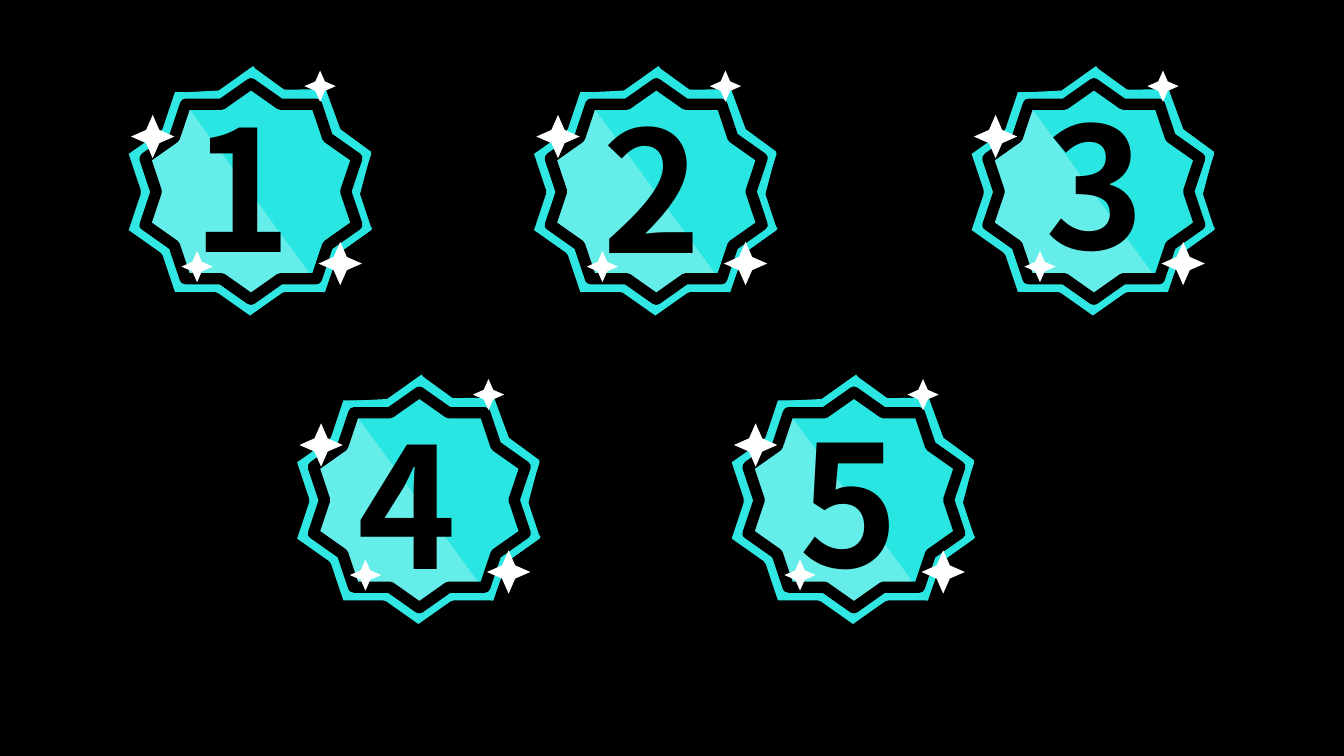
from dataclasses import dataclass
from typing import Optional

from pptx import Presentation
from pptx.dml.color import RGBColor
from pptx.enum.shapes import MSO_SHAPE as Preset
from pptx.enum.text import MSO_AUTO_SIZE as AutoSize, PP_ALIGN as Align
from pptx.shapes.shapetree import GroupShapes
from pptx.util import Inches, Pt

SLIDE_WIDTH = Inches(13.33)
SLIDE_HEIGHT = Inches(7.5)
COLUMNS = 1333
ROWS = 750

BLACK = RGBColor(0x00, 0x00, 0x00)
WHITE = RGBColor(0xFF, 0xFF, 0xFF)
RIM = RGBColor(0x31, 0xE7, 0xE3)
LIGHT = RGBColor(0x65, 0xED, 0xEA)
SHADE = RGBColor(0x2A, 0xE6, 0xE2)

FONT = "Noto Sans CJK KR"
SPARKLE_WAIST = 0.215


@dataclass(frozen=True)
class Part:
    preset: Preset
    column: int
    row: int
    columns: int
    rows: int
    fill: Optional[RGBColor] = None
    outline: float = 0
    rotation: float = 0
    adjustment: Optional[float] = None


@dataclass(frozen=True)
class Badge:
    numeral: str
    column: int
    row: int
    numeral_column: int
    numeral_row: int


def sparkle(column: int, row: int, size: int) -> Part:
    return Part(Preset.STAR_4_POINT, column, row, size, size, WHITE,
                adjustment=SPARKLE_WAIST)


PARTS = (
    Part(Preset.STAR_10_POINT, 0, 0, 254, 259, RIM, outline=8),
    Part(Preset.STAR_10_POINT, 21, 23, 210, 214, LIGHT, outline=5.25),
    Part(Preset.TRAPEZOID, 22, 96, 246, 43, SHADE, rotation=53.8, adjustment=0.658),
    Part(Preset.TRAPEZOID, 67, 74, 200, 55, SHADE, rotation=53.8, adjustment=0),
    Part(Preset.TRAPEZOID, 101, 65, 197, 26, SHADE, rotation=53.8, adjustment=3.104),
    Part(Preset.ISOSCELES_TRIANGLE, 136, 24, 110, 39, SHADE, rotation=34.5),
    Part(Preset.ISOSCELES_TRIANGLE, 185, 79, 94, 32, SHADE, rotation=70.5),
    Part(Preset.STAR_10_POINT, 23, 22, 210, 214, outline=8),
    sparkle(195, 179, 43),
    sparkle(9, 53, 43),
    sparkle(181, 9, 31),
    sparkle(59, 188, 31),
)

TOP_ROW = 61
BOTTOM_ROW = 367

BADGES = (
    Badge("1", 121, TOP_ROW, 32, 18),
    Badge("2", 523, TOP_ROW, 36, 19),
    Badge("3", 957, TOP_ROW, 42, 15),
    Badge("4", 288, BOTTOM_ROW, 28, 26),
    Badge("5", 719, BOTTOM_ROW, 36, 24),
)


def across(columns: int) -> int:
    return round(SLIDE_WIDTH * columns / COLUMNS)


def down(rows: int) -> int:
    return round(SLIDE_HEIGHT * rows / ROWS)


def add_part(shapes: GroupShapes, badge: Badge, part: Part) -> None:
    shape = shapes.add_shape(
        part.preset,
        across(badge.column + part.column), down(badge.row + part.row),
        across(part.columns), down(part.rows))
    shape.shadow.inherit = False
    shape.rotation = part.rotation
    if part.adjustment is not None:
        shape.adjustments[0] = part.adjustment
    if part.fill is None:
        shape.fill.background()
    else:
        shape.fill.solid()
        shape.fill.fore_color.rgb = part.fill
    if part.outline:
        shape.line.color.rgb = BLACK
        shape.line.width = Pt(part.outline)
    else:
        shape.line.fill.background()


def add_text(shapes: GroupShapes, text: str, *, column: int, row: int,
             columns: int, rows: int, size: float, color: RGBColor,
             bold: bool = False, align: Align = Align.CENTER) -> None:
    box = shapes.add_textbox(across(column), down(row), across(columns), down(rows))
    frame = box.text_frame
    frame.word_wrap = True
    frame.auto_size = AutoSize.SHAPE_TO_FIT_TEXT
    para = frame.paragraphs[0]
    para.alignment = align
    span = para.add_run()
    span.text = text
    span.font.name = FONT
    span.font.size = Pt(size)
    span.font.bold = bold
    span.font.color.rgb = color


def main() -> None:
    deck = Presentation()
    deck.slide_width = SLIDE_WIDTH
    deck.slide_height = SLIDE_HEIGHT
    page = deck.slides.add_slide(deck.slide_layouts[6])
    page.background.fill.solid()
    page.background.fill.fore_color.rgb = BLACK
    for badge in BADGES:
        shapes = page.shapes.add_group_shape().shapes
        for part in PARTS:
            add_part(shapes, badge, part)
        add_text(shapes, badge.numeral,
                 column=badge.column + badge.numeral_column,
                 row=badge.row + badge.numeral_row,
                 columns=175, rows=212, size=120, color=BLACK, bold=True)
    deck.save("out.pptx")


if __name__ == "__main__":
    main()
